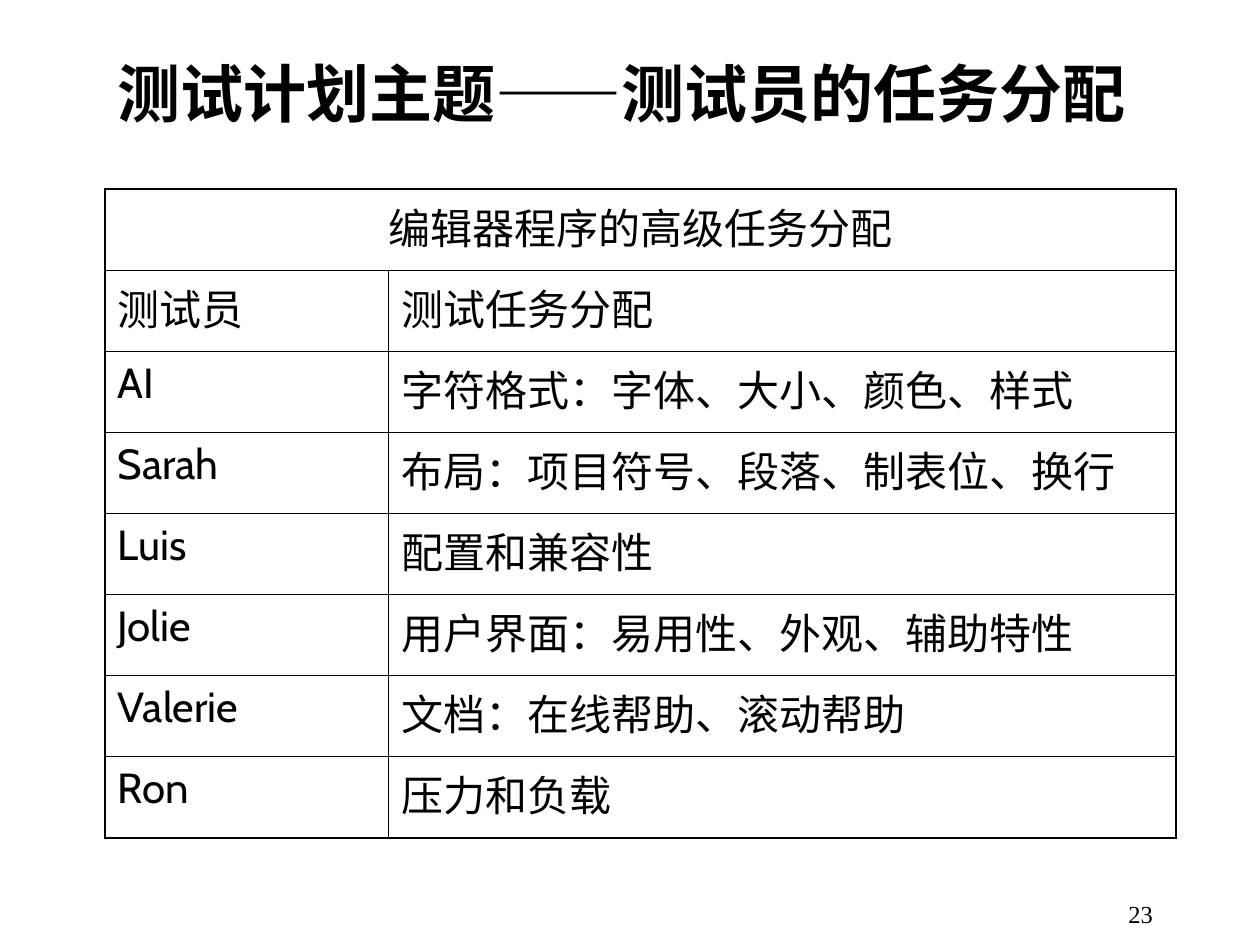
from lxml import etree
from pptx import Presentation
from pptx.dml.color import RGBColor
from pptx.enum.text import MSO_ANCHOR, MSO_AUTO_SIZE, PP_ALIGN
from pptx.oxml.ns import qn
from pptx.util import Pt

LEFT, CENTER, RIGHT = PP_ALIGN.LEFT, PP_ALIGN.CENTER, PP_ALIGN.RIGHT
TOP, BOTTOM = MSO_ANCHOR.TOP, MSO_ANCHOR.BOTTOM
NO_AUTOFIT = MSO_AUTO_SIZE.NONE
TITLE_ONLY = 5

HEADING = "编辑器程序的高级任务分配"
ASSIGNMENTS = [
    ("测试员", "测试任务分配"),
    ("AI", "字符格式：字体、大小、颜色、样式"),
    ("Sarah", "布局：项目符号、段落、制表位、换行"),
    ("Luis", "配置和兼容性"),
    ("Jolie", "用户界面：易用性、外观、辅助特性"),
    ("Valerie", "文档：在线帮助、滚动帮助"),
    ("Ron", "压力和负载"),
]


def color(value):
    return RGBColor.from_string(value)


def write(frame, text, font="Cabin", size=24, bold=False, align=LEFT):
    paragraph = frame.paragraphs[0]
    paragraph.alignment = align
    run = paragraph.add_run()
    run.text = text
    run.font.name = font
    run.font.size = Pt(size)
    run.font.bold = bold
    run.font.color.rgb = color(SlideBuilder.ink)


class SlideBuilder:
    """Holds the style and the slide being built."""

    ink = "000000"
    serif = "Times New Roman"
    outer_line = 1.08
    inner_line = 0.45

    def __init__(self, slide):
        self.slide = slide

    def set_frame(self, frame):
        frame.word_wrap = True
        frame.auto_size = NO_AUTOFIT
        frame.vertical_anchor = BOTTOM

    def title(self, text, left, top, width, height):
        shape = self.slide.shapes.title
        shape.left, shape.top = Pt(left), Pt(top)
        shape.width, shape.height = Pt(width), Pt(height)
        self.set_frame(shape.text_frame)
        write(shape.text_frame, text, font=self.serif, size=36, bold=True)

    def page_number(self, text, left, top, width, height):
        shape = self.slide.shapes.add_textbox(Pt(left), Pt(top), Pt(width), Pt(height))
        self.set_frame(shape.text_frame)
        write(shape.text_frame, text, font=self.serif, size=14, align=RIGHT)

    def borders(self, cell, outer_sides):
        properties = cell._tc.get_or_add_tcPr()
        for index, side in enumerate("LRTB"):
            width = self.outer_line if side in outer_sides else self.inner_line
            line = etree.Element(qn(f"a:ln{side}"), w=str(int(Pt(width))))
            fill = etree.SubElement(line, qn("a:solidFill"))
            etree.SubElement(fill, qn("a:srgbClr"), val=self.ink)
            properties.insert(index, line)

    def table(self, heading, rows, left, top, column_widths, row_height):
        row_count, column_count = len(rows) + 1, len(column_widths)
        table = self.slide.shapes.add_table(
            row_count, column_count, Pt(left), Pt(top),
            Pt(sum(column_widths)), Pt(row_height * row_count)).table
        table.first_row = table.horz_banding = False
        for column, width in zip(table.columns, column_widths):
            column.width = Pt(width)
        for row in table.rows:
            row.height = Pt(row_height)
        table.cell(0, 0).merge(table.cell(0, column_count - 1))
        write(table.cell(0, 0).text_frame, heading, align=CENTER)
        for row_index, texts in enumerate(rows, start=1):
            for column_index, text in enumerate(texts):
                write(table.cell(row_index, column_index).text_frame, text)
        for row_index in range(row_count):
            for column_index in range(column_count):
                cell = table.cell(row_index, column_index)
                cell.vertical_anchor = TOP
                cell.fill.background()
                at_edge = {
                    "L": column_index == 0,
                    "R": column_index == column_count - 1 or cell.is_merge_origin,
                    "T": row_index == 0,
                    "B": row_index == row_count - 1,
                }
                self.borders(cell, [side for side, outer in at_edge.items() if outer])


def main():
    presentation = Presentation()
    presentation.slide_width, presentation.slide_height = Pt(720), Pt(540)
    layout = presentation.slide_layouts[TITLE_ONLY]
    builder = SlideBuilder(presentation.slides.add_slide(layout))
    builder.title("测试计划主题——测试员的任务分配", 60, 24, 636, 54)
    builder.table(HEADING, ASSIGNMENTS, 60, 108, (162, 450), 46.35)
    builder.page_number("23", 516, 498, 150, 36)
    presentation.save("out.pptx")


if __name__ == "__main__":
    main()
